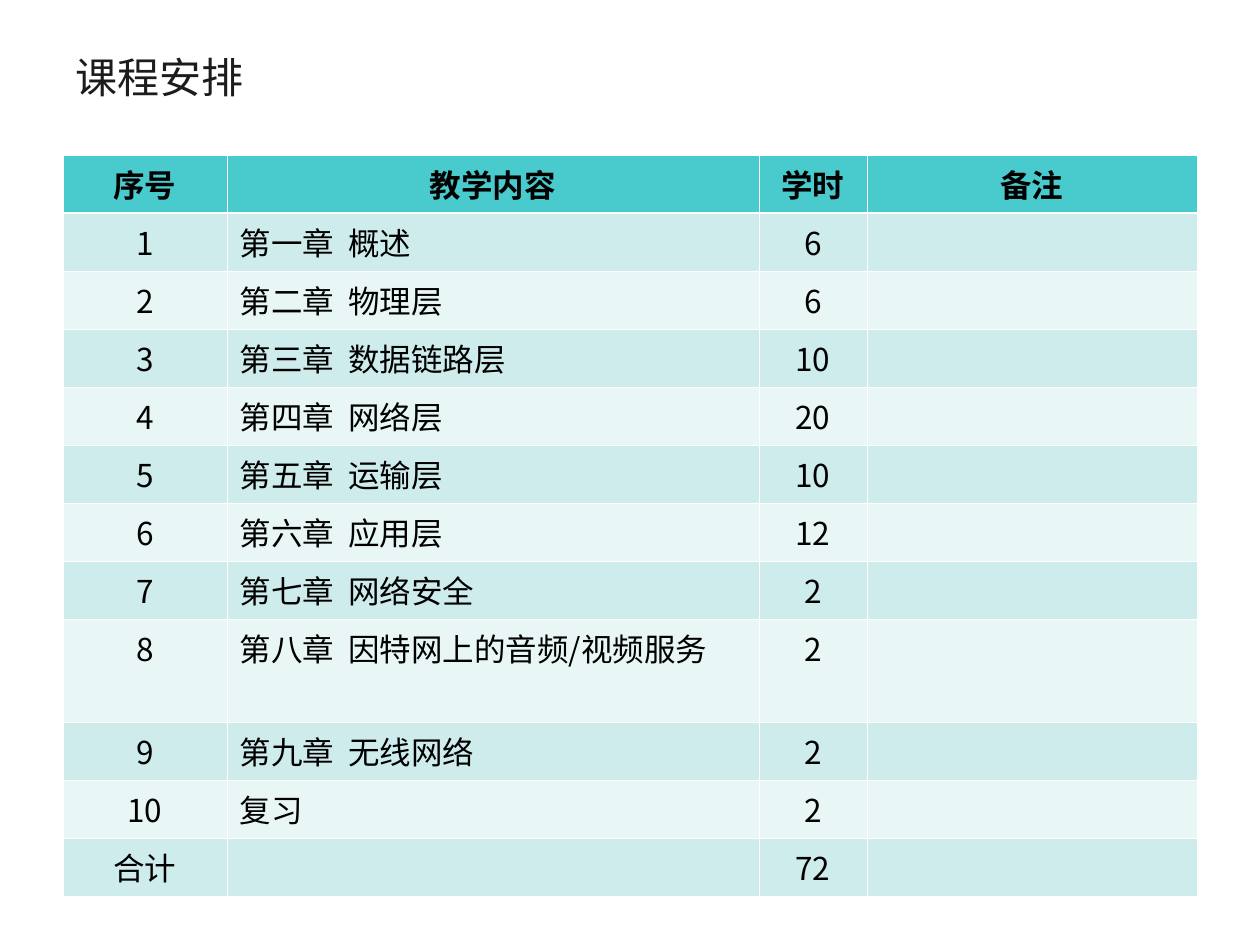
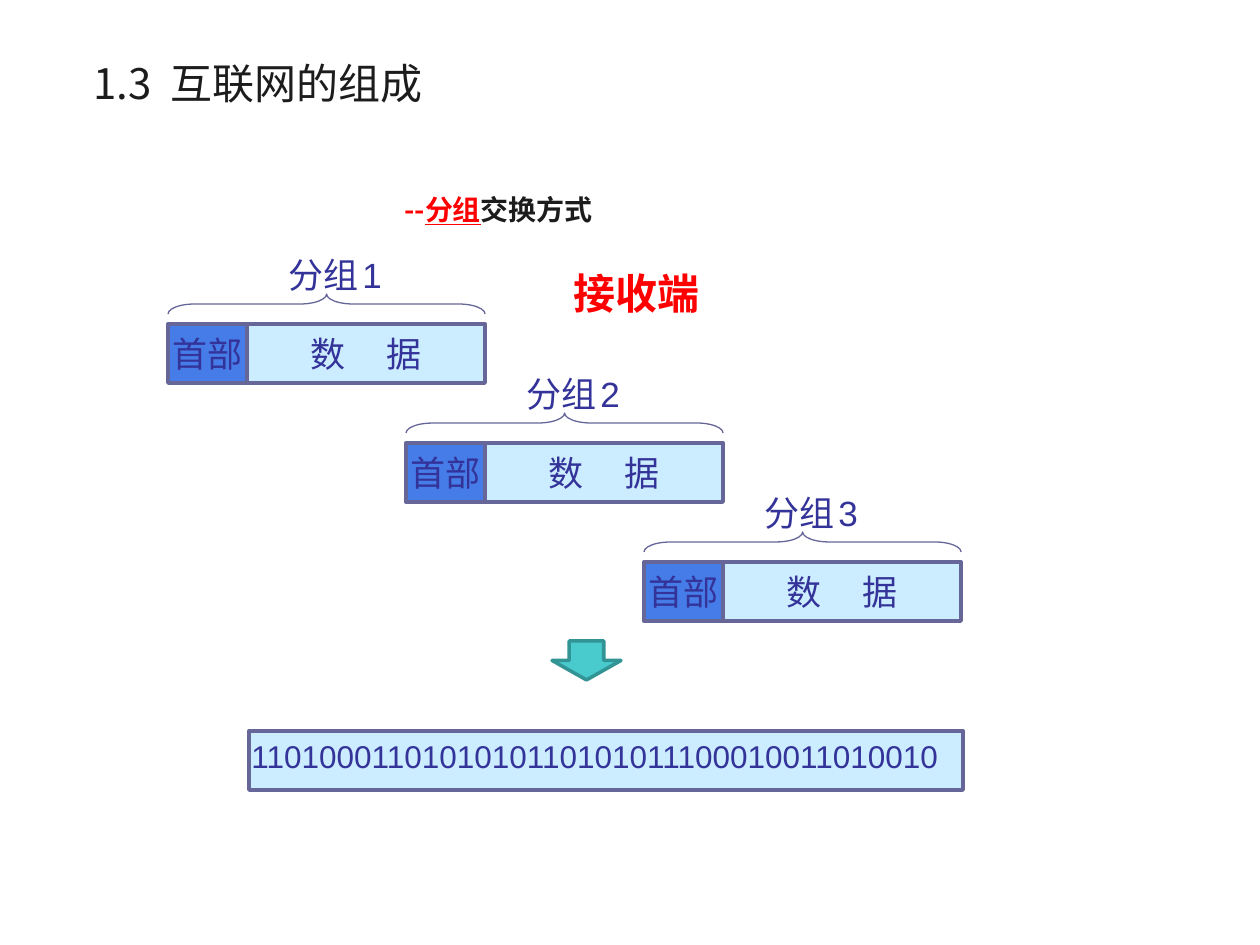
from lxml.etree import SubElement
from pptx import Presentation
from pptx.dml.color import RGBColor
from pptx.enum.shapes import MSO_SHAPE
from pptx.enum.text import MSO_ANCHOR, PP_ALIGN
from pptx.oxml.ns import qn
from pptx.util import Emu, Pt

PX = 914400 / 126
CJK, LATIN, BODY = "Noto Sans CJK SC", "Arial", "Lato"

INK = RGBColor(0x1C, 0x1C, 0x1C)
BLACK = RGBColor(0, 0, 0)
RED = RGBColor(0xFF, 0, 0)
WHITE = RGBColor(0xFF, 0xFF, 0xFF)
TEAL = RGBColor(0x49, 0xCA, 0xCD)
DARK_TEAL = RGBColor(0x33, 0x94, 0x96)
BANDS = (RGBColor(0xCF, 0xEC, 0xED), RGBColor(0xE9, 0xF6, 0xF6))
NAVY = RGBColor(0x33, 0x33, 0x99)
SLATE = RGBColor(0x66, 0x66, 0x99)
PALE_BLUE = RGBColor(0xCC, 0xEC, 0xFF)
BLUE = RGBColor(0x46, 0x7C, 0xE8)

COLUMNS = (164, 532, 108, 330)
ROW_HEIGHT, TALL_ROW_HEIGHT, TALL_ROW = 58, 103, 8
SCHEDULE = (
    ("序号", "教学内容", "学时", "备注"),
    ("1", "第一章  概述", "6", ""),
    ("2", "第二章  物理层", "6", ""),
    ("3", "第三章  数据链路层", "10", ""),
    ("4", "第四章  网络层", "20", ""),
    ("5", "第五章  运输层", "10", ""),
    ("6", "第六章  应用层", "12", ""),
    ("7", "第七章  网络安全", "2", ""),
    ("8", "第八章  因特网上的音频/视频服务", "2", ""),
    ("9", "第九章  无线网络", "2", ""),
    ("10", "复习", "2", ""),
    ("合计", "", "72", ""),
)

HEADER_WIDTH, DATA_WIDTH, BAR_HEIGHT = 79, 238, 59
STEP_X, STEP_Y = 238, 119
BITS = "1101000110101010110101011100010011010010"


def px(*lengths):
    """Turn pixel lengths into EMU."""
    return [Emu(round(length * PX)) for length in lengths]


def style(paragraph, size, color, name=CJK, bold=False, align=PP_ALIGN.LEFT):
    """Set the font and alignment of a whole paragraph."""
    paragraph.alignment = align
    font = paragraph.font
    font.size, font.name, font.bold = Pt(size), name, bold
    font.color.rgb = color
    properties = paragraph._p.pPr.find(qn("a:defRPr"))
    SubElement(properties, qn("a:ea")).set("typeface", CJK)


def add_spans(paragraph, *texts):
    """Add one run per text and return the runs."""
    spans = []
    for text in texts:
        span = paragraph.add_run()
        span.text = text
        spans.append(span)
    return spans


def add_text(page, frame, texts, size, color, anchor=MSO_ANCHOR.TOP, **look):
    """Add a text box with one paragraph and return its runs."""
    box = page.shapes.add_textbox(*px(*frame)).text_frame
    box.word_wrap = True
    box.vertical_anchor = anchor
    paragraph = box.paragraphs[0]
    style(paragraph, size, color, **look)
    return add_spans(paragraph, *texts)


def add_title(page, frame, text, align=PP_ALIGN.LEFT):
    """Add a slide title."""
    add_text(page, frame, [text], 24, INK, MSO_ANCHOR.MIDDLE, align=align)


def add_block(page, kind, frame, fill=None, line=None, width=2.25):
    """Add a preset shape without shadow."""
    shape = page.shapes.add_shape(kind, *px(*frame))
    shape.shadow.inherit = False
    if fill is None:
        shape.fill.background()
    else:
        shape.fill.solid()
        shape.fill.fore_color.rgb = fill
    if line is None:
        shape.line.fill.background()
    else:
        shape.line.color.rgb = line
        shape.line.width = Pt(width)
    return shape


def add_labelled_bar(page, frame, fill, texts):
    """Add an outlined bar with centred text and return its runs."""
    box = add_block(page, MSO_SHAPE.RECTANGLE, frame, fill, SLATE).text_frame
    box.margin_left = box.margin_right = 0
    box.vertical_anchor = MSO_ANCHOR.MIDDLE
    paragraph = box.paragraphs[0]
    style(paragraph, 20, NAVY, BODY, align=PP_ALIGN.CENTER)
    return add_spans(paragraph, *texts)


def set_borders(cell, top, bottom):
    """Draw white cell borders with the given top and bottom widths."""
    properties = cell._tc.get_or_add_tcPr()
    sides = (("a:lnL", 0.45), ("a:lnR", 0.45), ("a:lnT", top), ("a:lnB", bottom))
    for side, width in sides:
        line = SubElement(properties, qn(side), w=str(Pt(width)))
        fill = SubElement(line, qn("a:solidFill"))
        SubElement(fill, qn("a:srgbClr"), val=str(WHITE))


def fill_cell(cell, text, row, column):
    """Write and colour one schedule cell."""
    set_borders(cell, 1.47 if row == 1 else 0.45, 1.47 if row == 0 else 0.45)
    cell.fill.solid()
    cell.fill.fore_color.rgb = BANDS[(row - 1) % 2] if row else TEAL
    cell.text = text
    centred = row == 0 or column != 1
    style(cell.text_frame.paragraphs[0], 18, BLACK, bold=row == 0,
          align=PP_ALIGN.CENTER if centred else PP_ALIGN.LEFT)


def add_schedule(page):
    """Add the course schedule table."""
    heights = [ROW_HEIGHT] * len(SCHEDULE)
    heights[TALL_ROW] = TALL_ROW_HEIGHT
    frame = px(63, 155, sum(COLUMNS), sum(heights))
    table = page.shapes.add_table(len(SCHEDULE), len(COLUMNS), *frame).table
    table.horz_banding = table.first_row = False
    for column, width in zip(table.columns, px(*COLUMNS)):
        column.width = width
    for row, height in zip(table.rows, px(*heights)):
        row.height = height
    for row, texts in enumerate(SCHEDULE):
        for column, text in enumerate(texts):
            fill_cell(table.cell(row, column), text, row, column)


def add_packet(page, index):
    """Add one packet: data, header, brace and label."""
    left, top = 168 + index * STEP_X, 324 + index * STEP_Y
    data_frame = (left + HEADER_WIDTH, top, DATA_WIDTH, BAR_HEIGHT)
    gap = add_labelled_bar(page, data_frame, PALE_BLUE, ("数", " ", "据"))[1]
    gap._r.get_or_add_rPr().set("spc", "1900")
    add_labelled_bar(page, (left, top, HEADER_WIDTH, BAR_HEIGHT), BLUE, ["首部"])

    span, depth = HEADER_WIDTH + DATA_WIDTH, 20
    brace_frame = (left + (span - depth) / 2, top - 20 - span / 2, depth, span)
    brace = add_block(page, MSO_SHAPE.LEFT_BRACE, brace_frame, None, SLATE, 0.75)
    brace.rotation = 90
    brace.adjustments[0] = 1.33

    label = add_text(page, (left + 108, top - 77, 140, 55),
                     ("分组", " ", str(index + 1)), 20, NAVY, name=LATIN)
    label[0].font.name = BODY
    label[1].font.size = Pt(10)


def add_bit_stream(page):
    """Add the reassembled bit stream."""
    left, top = 249, 731
    for index in range(3):
        segment = (left + index * DATA_WIDTH, top, DATA_WIDTH, BAR_HEIGHT)
        add_block(page, MSO_SHAPE.RECTANGLE, segment, PALE_BLUE)
    outline = (left, top, 3 * DATA_WIDTH, BAR_HEIGHT)
    add_block(page, MSO_SHAPE.RECTANGLE, outline, None, SLATE)
    add_text(page, (239, top, 726, 50), [BITS], 18, NAVY, name=LATIN)


def build_schedule_page(page):
    """Build the course schedule slide."""
    add_title(page, (63, 38, 1134, 77), "课程安排")
    add_schedule(page)


def build_packet_page(page):
    """Build the packet switching slide."""
    method = add_text(page, (392, 186, 484, 79), ("--", "分组", "交换方式"),
                      16, RED, bold=True)
    method[1].font.underline = True
    method[2].font.color.rgb = INK
    add_bit_stream(page)
    add_block(page, MSO_SHAPE.DOWN_ARROW, (552, 641, 69, 39), TEAL, DARK_TEAL, 2)
    for index in range(3):
        add_packet(page, index)
    add_text(page, (561, 261, 157, 63), ["接收端"], 24, RED, name=LATIN, bold=True)
    add_title(page, (25, 45, 466, 76), "1.3  互联网的组成", PP_ALIGN.CENTER)


def main():
    """Build and save the deck."""
    deck = Presentation()
    deck.slide_width, deck.slide_height = px(1260, 945)
    for build in (build_schedule_page, build_packet_page):
        build(deck.slides.add_slide(deck.slide_layouts[6]))
    deck.save("out.pptx")


if __name__ == "__main__":
    main()
